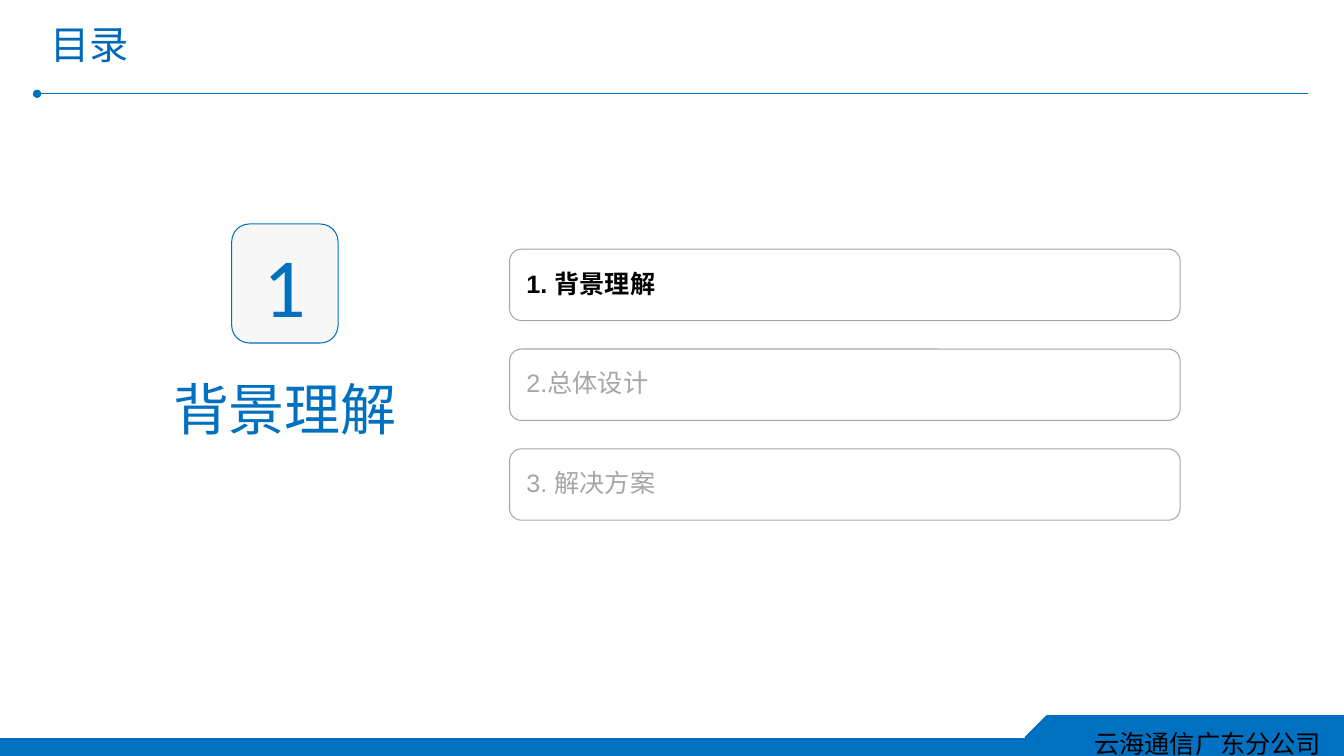
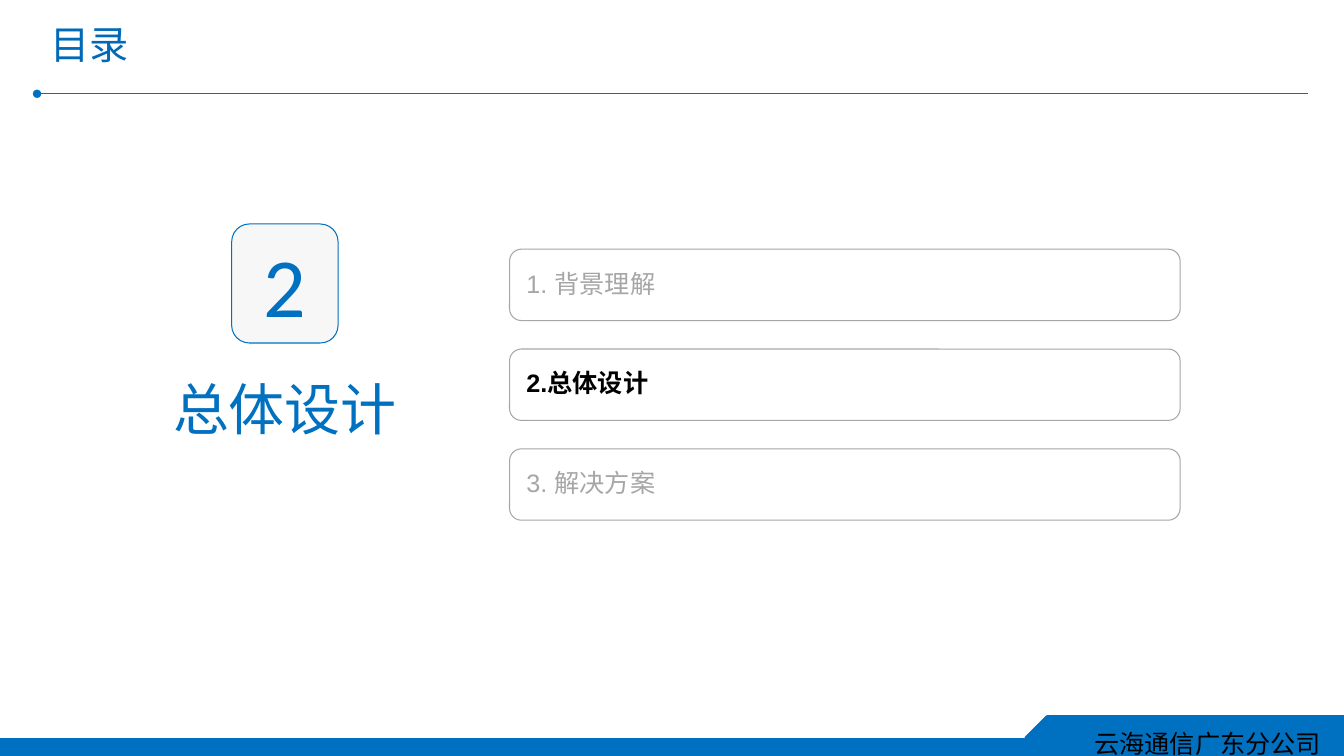
import pptx
import pptx.util
import pptx.dml.color
import pptx.enum.shapes
import pptx.enum.text
import pptx.oxml
import pptx.oxml.ns
import lxml.etree

Pt = pptx.util.Pt
KIND = pptx.enum.shapes.MSO_SHAPE
ALIGN = pptx.enum.text.PP_ALIGN
HUES = {"blue": "0070C0", "title": "0069B8", "pale": "F7F7F7", "gray": "A6A6A6", "black": "000000"}
HAN = "Noto Sans CJK SC"
WIDE = (9.6, 4.8, 9.6, 4.8)
SLIM = (5, 2.5, 5, 2.5)
TOPICS = [("背景理解", "1. 背景理解"), ("总体设计", "2.总体设计"), ("解决方案", "3. 解决方案")]


def color(name):
    return pptx.dml.color.RGBColor.from_string(HUES[name])


def add_tag(parent, name, **attrs):
    tag = lxml.etree.SubElement(parent, pptx.oxml.ns.qn(name))
    for key, value in attrs.items():
        tag.set(key, value)
    return tag


def write(shape, text, size, hue, font="Arial", bold=False, align=ALIGN.LEFT, space=1.0, pad=WIDE, wrap=True):
    frame = shape.text_frame
    frame.word_wrap = wrap
    frame.vertical_anchor = pptx.enum.text.MSO_ANCHOR.MIDDLE
    frame.margin_left, frame.margin_top, frame.margin_right, frame.margin_bottom = map(Pt, pad)
    line = frame.paragraphs[0]
    line.alignment, line.line_spacing = align, space
    run = line.add_run()
    run.text = text
    run.font.name, run.font.size, run.font.bold = font, Pt(size), bold
    run.font.color.rgb = color(hue)
    add_tag(run.font._element, "a:ea", typeface=HAN)


def add_box(slide, kind, box, fill, edge, width):
    shape = slide.shapes.add_shape(kind, *map(Pt, box))
    shape.shadow.inherit = False
    if fill:
        shape.fill.solid()
        shape.fill.fore_color.rgb = color(fill)
    else:
        shape.fill.background()
    shape.line.color.rgb = color(edge)
    shape.line.width = Pt(width)
    return shape


def add_head(slide, box, text):
    left, top, width, height = box
    base = top + height
    rule = slide.shapes.add_connector(
        pptx.enum.shapes.MSO_CONNECTOR.STRAIGHT, Pt(left), Pt(base), Pt(left + width), Pt(base))
    rule.line.color.rgb = color("blue")
    rule.line.width = Pt(0.5)
    add_tag(rule.line._get_or_add_ln(), "a:headEnd", type="oval")
    add_tag(rule.element.spPr, "a:effectLst")
    title = slide.shapes.add_textbox(*map(Pt, box))
    write(title, text, 28, "title", space=0.9)


def add_foot(slide, box, text):
    left, top, width, height = box
    tab = add_box(slide, KIND.SNIP_1_RECTANGLE, (left + 733, top, width - 733, height), "blue", "blue", 2.25)
    tab.adjustments[0] = 0.5
    tab.element.spPr.xfrm.set("flipH", "1")
    write(tab, text, 18, "black", font="Calibri", align=ALIGN.CENTER, pad=(34, 4.8, 9.6, 4.8))
    add_box(slide, KIND.RECTANGLE, (left, top + 16, 775, 13.5), "blue", "blue", 1)


def add_badge(slide, box, number, text):
    left, top, width, height = box
    side = 76
    tile = add_box(slide, KIND.ROUNDED_RECTANGLE, (left + (width - side) / 2, top, side, 85), "pale", "blue", 0.75)
    write(tile, str(number), 60, "blue", font="Calibri", align=ALIGN.CENTER, pad=SLIM)
    label = slide.shapes.add_textbox(Pt(left), Pt(top + 80.5), Pt(width), Pt(height - 80.5))
    write(label, text, 40, "blue", font=HAN, align=ALIGN.CENTER, space=1.5, pad=SLIM, wrap=False)


def add_list(slide, box, active):
    left, top, width, height = box
    row = 51
    step = (height - row) / (len(TOPICS) - 1)
    for index, (_, text) in enumerate(TOPICS):
        live = index == active
        item = add_box(slide, KIND.ROUNDED_RECTANGLE, (left, top + index * step, width, row), None, "gray", 0.75)
        write(item, text, 18, "black" if live else "gray", bold=live, space=0.9)


def add_page(deck, active):
    slide = deck.slides.add_slide(deck.slide_layouts[6])
    add_foot(slide, (0, 512, 960.5, 30), "云海通信广东分公司")
    add_head(slide, (26.5, 0, 907.5, 67), "目录")
    add_badge(slide, (117, 160, 173, 159), active + 1, TOPICS[active][0])
    add_list(slide, (364, 178, 479, 193.6), active)


def main():
    deck = pptx.Presentation()
    deck.slide_width, deck.slide_height = Pt(960), Pt(540)
    for active in range(2):
        add_page(deck, active)
    deck.save("out.pptx")


if __name__ == "__main__":
    main()
